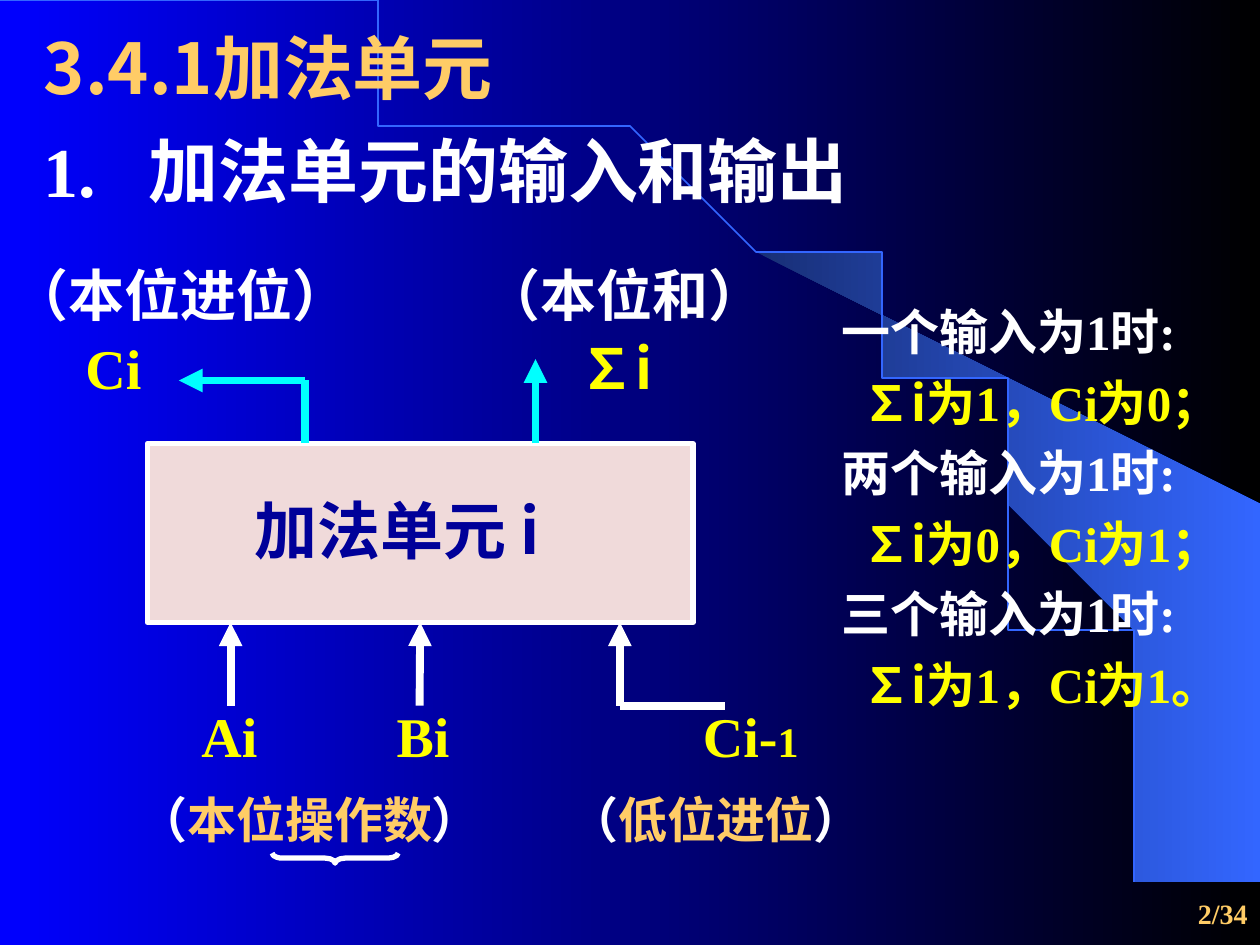
from dataclasses import dataclass
from typing import Optional

from lxml import etree
from pptx import Presentation
from pptx.dml.color import RGBColor
from pptx.enum.shapes import MSO_CONNECTOR, MSO_SHAPE
from pptx.enum.text import MSO_ANCHOR, PP_ALIGN
from pptx.oxml.ns import qn
from pptx.util import Inches, Pt

STRAIGHT = MSO_CONNECTOR.STRAIGHT
RECTANGLE, LEFT_BRACE = MSO_SHAPE.RECTANGLE, MSO_SHAPE.LEFT_BRACE
TOP, MIDDLE = MSO_ANCHOR.TOP, MSO_ANCHOR.MIDDLE
LEFT, RIGHT, JUSTIFY = PP_ALIGN.LEFT, PP_ALIGN.RIGHT, PP_ALIGN.JUSTIFY
BOTTOM_SIDE = 2


@dataclass(frozen=True)
class Theme:
    blue: str = "0000FF"
    black: str = "000000"
    white: str = "FFFFFF"
    yellow: str = "FFFF00"
    gold: str = "FFCC66"
    cyan: str = "00FFFF"
    navy: str = "000099"
    pink: str = "F0DADA"
    arc: str = "3366FF"
    arc_dark: str = "182F76"
    serif: str = "Times New Roman"
    sans: str = "Noto Sans CJK SC"
    title: float = 40
    unit: float = 36
    signal: float = 32
    body: float = 28
    small: float = 24
    number: float = 16


THEME = Theme()


@dataclass(frozen=True)
class Span:
    text: str
    color: Optional[str] = None
    face: Optional[str] = None
    size: Optional[float] = None


@dataclass(frozen=True)
class Para:
    spans: tuple[Span, ...]
    size: float
    color: str = THEME.white
    face: str = THEME.serif
    align: PP_ALIGN = LEFT
    line: float = 1.0
    before: float = 0
    indent: float = 0
    tab: float = 0


@dataclass(frozen=True)
class Label:
    left: float
    top: float
    width: float
    height: float
    paras: tuple[Para, ...]
    anchor: MSO_ANCHOR = TOP


@dataclass(frozen=True)
class Wire:
    start: tuple[float, float]
    end: tuple[float, float]
    color: str
    arrow: bool = True
    to_unit: bool = False


def rgb(code: str) -> RGBColor:
    return RGBColor.from_string(code)


def style_font(font, color=None, face=None, size=None) -> None:
    if size:
        font.size = Pt(size)
    if color:
        font.color.rgb = rgb(color)
    if face:
        font.name = face


def fill_gradient(fill, first: str, last: str) -> None:
    fill.gradient()
    fill.gradient_angle = 0
    for stop, color, position in zip(fill.gradient_stops, (first, last), (0, 1)):
        stop.color.rgb = rgb(color)
        stop.position = position


def write_para(paragraph, para: Para) -> None:
    paragraph.alignment = para.align
    paragraph.line_spacing = para.line
    if para.before:
        paragraph.space_before = Pt(para.before)
    properties = paragraph._p.get_or_add_pPr()
    if para.indent:
        properties.set("indent", str(Inches(para.indent)))
    if para.tab:
        tabs = etree.SubElement(properties, qn("a:tabLst"))
        etree.SubElement(tabs, qn("a:tab"), pos=str(Inches(para.tab)), algn="l")
    style_font(paragraph.font, para.color, para.face, para.size)
    paragraph.font.bold = True
    for span in para.spans:
        run = paragraph.add_run()
        run.text = span.text
        style_font(run.font, span.color, span.face, span.size)


def add_label(page, label: Label) -> None:
    box = page.shapes.add_textbox(Inches(label.left), Inches(label.top),
                                  Inches(label.width), Inches(label.height))
    frame = box.text_frame
    frame.word_wrap = True
    frame.vertical_anchor = label.anchor
    for index, para in enumerate(label.paras):
        write_para(frame.add_paragraph() if index else frame.paragraphs[0], para)


def add_wire(page, wire: Wire, unit) -> None:
    connector = page.shapes.add_connector(
        STRAIGHT, *(Inches(value) for value in wire.start + wire.end))
    if wire.to_unit:
        connector.end_connect(unit, BOTTOM_SIDE)
    connector.line.width = Pt(4.5)
    connector.line.color.rgb = rgb(wire.color)
    if wire.arrow:
        etree.SubElement(connector.line._get_or_add_ln(), qn("a:tailEnd"), type="triangle")
    etree.SubElement(connector._element.spPr, qn("a:effectLst"))


def add_outline(page, points, close: bool):
    builder = page.shapes.build_freeform(*points[0], scale=Inches(1))
    builder.add_line_segments(points[1:], close=close)
    outline = builder.convert_to_shape()
    outline.shadow.inherit = False
    return outline


def arc_point(t: float) -> tuple[float, float]:
    s = 1 - t
    return (3 * s * s * t * 5.08 + 3 * s * t * t * 9.2 + t ** 3 * 9.2,
            3 * s * t * t * 3.35 + t ** 3 * 7.49)


def add_backdrop(page) -> None:
    fill_gradient(page.background.fill, THEME.blue, THEME.black)
    beam = add_outline(page, [
        (9.2, 7.48), (9.99, 7.49), (9.99, 4.23), (5.89, 1.73), (6.24, 1.99),
        (6.53, 2.22), (6.85, 2.5), (7.16, 2.8), (7.62, 3.3), (8.03, 3.84),
        (8.32, 4.31), (8.58, 4.79), (8.78, 5.28), (8.93, 5.72), (9.03, 6.09),
        (9.13, 6.56), (9.17, 6.96)], True)
    fill_gradient(beam.fill, THEME.arc_dark, THEME.arc)
    beam.line.fill.background()
    arc = add_outline(page, [arc_point(step / 60) for step in range(61)], False)
    arc.fill.background()
    arc.line.color.rgb = rgb(THEME.arc)
    arc.line.width = Pt(1)


def add_unit(page):
    unit = page.shapes.add_shape(RECTANGLE, Inches(1.17), Inches(3.52), Inches(4.33), Inches(1.42))
    unit.fill.solid()
    unit.fill.fore_color.rgb = rgb(THEME.pink)
    brace = page.shapes.add_shape(LEFT_BRACE, Inches(2.62), Inches(6.31), Inches(0.08), Inches(1))
    brace.rotation = 270
    brace.adjustments[0] = 1
    brace.fill.background()
    for shape in (unit, brace):
        shape.shadow.inherit = False
        shape.line.color.rgb = rgb(THEME.white)
        shape.line.width = Pt(3)
    return unit


def signal(left, top, width, *spans, color=THEME.yellow, face=THEME.serif) -> Label:
    return Label(left, top, width, 0.64, (Para(spans, THEME.signal, color, face),))


def bracketed(left, width, text) -> Label:
    spans = (Span("（"), Span(text, THEME.gold), Span("）"))
    return Label(left, 6.22, width, 0.57, (Para(spans, THEME.body),))


def case(count: str, total: str, carry: str) -> tuple[Para, Para]:
    result = (Span("∑i为", face=THEME.sans), Span(total), Span("，", face=THEME.sans), Span(f"Ci为{carry}"))
    return (Para((Span(f"{count}个输入为1时:"),), THEME.body, align=JUSTIFY, line=1.2),
            Para(result, THEME.body, THEME.yellow, align=JUSTIFY, line=1.2, indent=0.17))


WIRES = (
    Wire((1.83, 5.6), (1.83, 4.94), THEME.white),
    Wire((3.33, 5.6), (3.33, 4.94), THEME.white, to_unit=True),
    Wire((4.92, 5.6), (4.92, 4.94), THEME.white),
    Wire((4.92, 5.6), (5.75, 5.6), THEME.white, arrow=False),
    Wire((4.25, 3.52), (4.25, 2.85), THEME.cyan),
    Wire((2.42, 3.02), (2.42, 3.52), THEME.cyan, arrow=False),
    Wire((2.42, 3.02), (1.42, 3.02), THEME.cyan),
)

LABELS = (
    Label(7.52, 7, 2.48, 0.5,
          (Para((Span("2/34"),), THEME.number, THEME.gold, align=RIGHT),), MIDDLE),
    Label(1.92, 3.85, 3.08, 0.7,
          (Para((Span("加法单元 i"),), THEME.unit, THEME.navy, THEME.sans),)),
    signal(1.5, 5.52, 1, Span("Ai")),
    signal(3.05, 5.52, 1, Span("Bi")),
    signal(5.48, 5.52, 1.36, Span("Ci-"), Span("1", size=THEME.small)),
    signal(0.58, 2.6, 1, Span("Ci")),
    signal(4.5, 2.6, 0.92, Span("∑i"), face=THEME.sans),
    bracketed(1, 4.08, "本位操作数"),
    bracketed(4.42, 2.83, "低位进位"),
    signal(0, 2.02, 3.5, Span("（本位进位）"), color=THEME.white),
    signal(3.75, 2.02, 2.83, Span("（本位和）"), color=THEME.white),
    Label(0.25, 0.33, 7.75, 1.38, (
        Para((Span("3.4.1加法单元"),), THEME.title, THEME.gold, THEME.sans, line=0.7),
        Para((Span("1.\t加法单元的输入和输出"),), THEME.title, line=0.7, before=25, tab=0.83))),
    Label(6.58, 2.25, 3.42, 3.46,
          case("一", "1", "0；") + case("两", "0", "1；") + case("三", "1", "1。")),
)


def main() -> None:
    deck = Presentation()
    deck.slide_width, deck.slide_height = Inches(10), Inches(7.5)
    page = deck.slides.add_slide(deck.slide_layouts[6])
    add_backdrop(page)
    unit = add_unit(page)
    for wire in WIRES:
        add_wire(page, wire, unit)
    for label in LABELS:
        add_label(page, label)
    deck.save("out.pptx")


if __name__ == "__main__":
    main()
